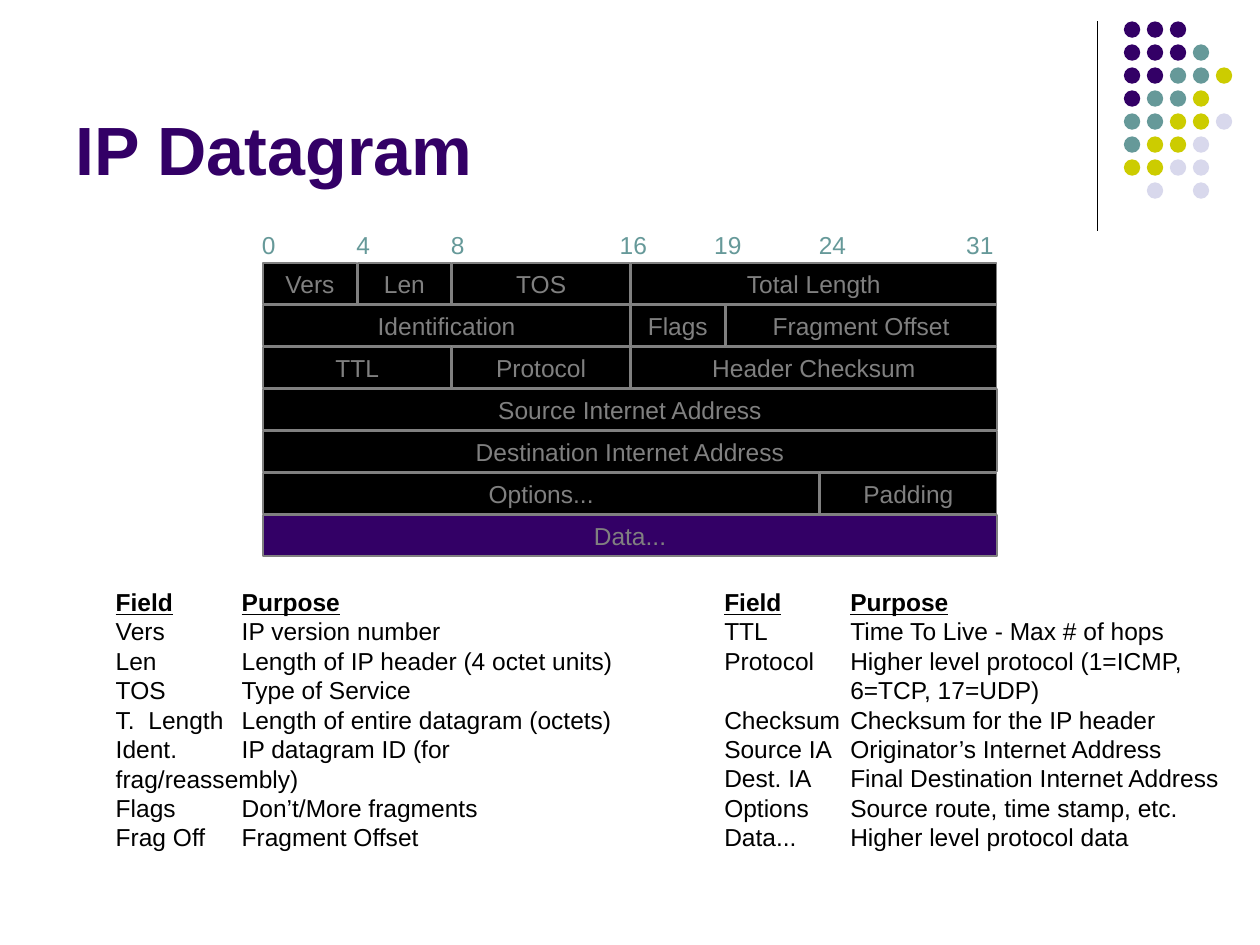
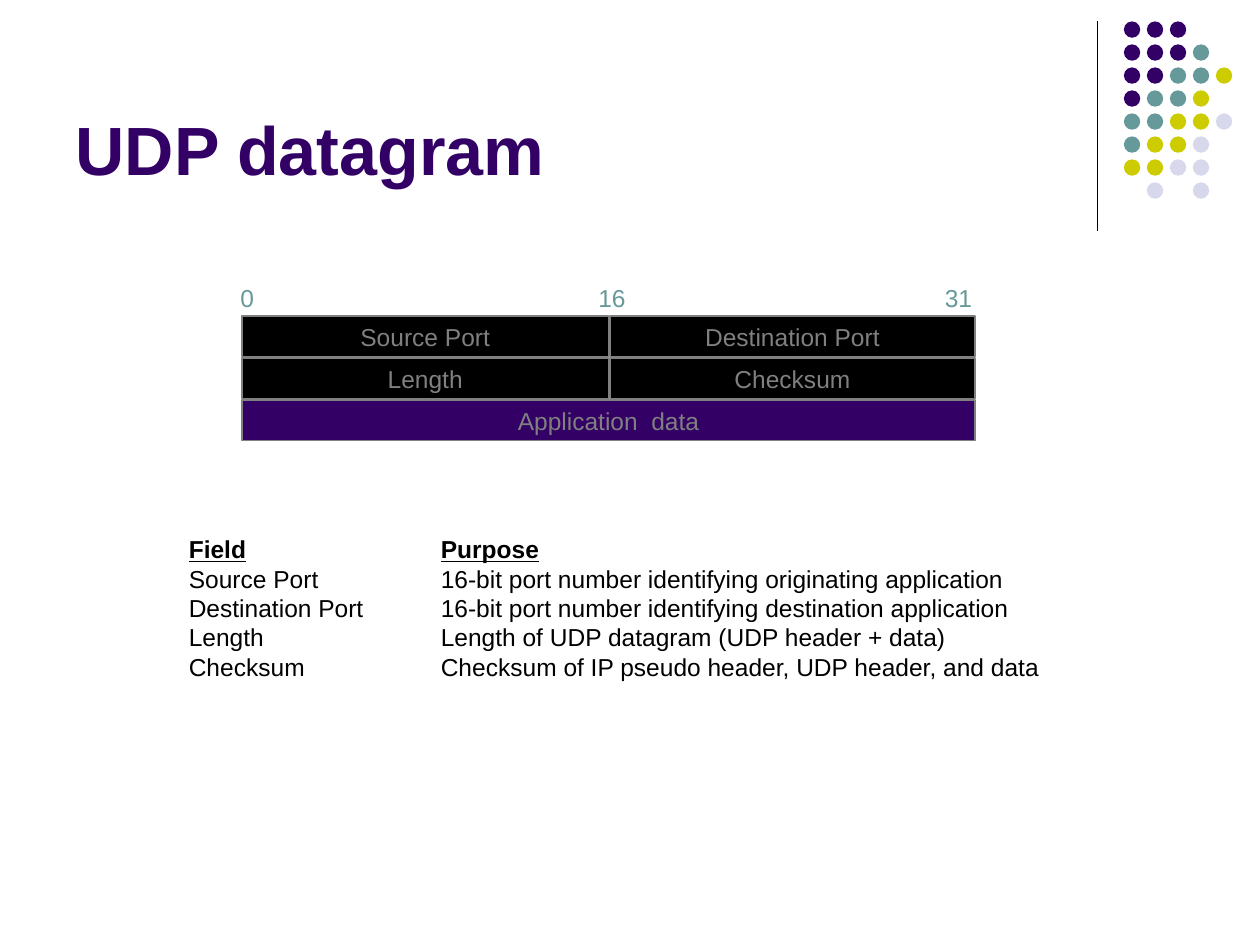
"""Build two slides that explain the IP and UDP datagram layouts."""
from dataclasses import dataclass

from lxml import etree
from pptx import Presentation
from pptx import util as u
from pptx.dml.color import RGBColor
from pptx.enum import shapes, text
from pptx.oxml import ns

PURPLE = RGBColor(0x33, 0x00, 0x66)
TEAL = RGBColor(0x66, 0x99, 0x99)
OLIVE = RGBColor(0xCC, 0xCC, 0x00)
LAVENDER = RGBColor(0xD8, 0xD8, 0xEC)
GREY = RGBColor(0x80, 0x80, 0x80)
BLACK = RGBColor(0x00, 0x00, 0x00)

FONT = "Arial"
TITLE_SIZE = 39
BODY_SIZE = 14

DOT_ROWS = ("PPP", "PPPT", "PPTTO", "PTTO", "TTOOL", "TOOL", "OOLL", ".L.L")
DOT_COLORS = {"P": PURPLE, "T": TEAL, "O": OLIVE, "L": LAVENDER}
DOT_SIZE = u.Inches(0.13)
DOT_PITCH = u.Inches(0.73) // 4

BIT_EDGES = {0: 0, 4: 0.75, 8: 1.5, 16: 2.92, 19: 3.67, 24: 4.42, 32: 5.83}
BIT_LABELS = {0: -0.11, 4: 0.64, 8: 1.39, 16: 2.73, 19: 3.48, 24: 4.31, 31: 5.48}
WORD_BITS = 32
ROW_PITCH = u.Inches(1) // 3
ROW_HEIGHT = u.Inches(0.32)
FIELD_GAP = 0.01


@dataclass(frozen=True)
class Diagram:
    """Header rows, each mapping a first bit to a field; the last row is payload."""
    left: float
    top: float
    bits: tuple[int, ...]
    rows: tuple[dict[int, str], ...]


@dataclass(frozen=True)
class Glossary:
    """Field and purpose lines aligned on one tab stop."""
    left: float
    top: float
    width: float
    height: float
    tab: float
    tabs_in_header: str
    lines: tuple[str, ...]


@dataclass(frozen=True)
class DatagramSlide:
    """Content of one slide."""
    title: str
    diagram: Diagram
    glossaries: tuple[Glossary, ...]


IP_SLIDE = DatagramSlide(
    "IP Datagram",
    Diagram(2.09, 2.09, (0, 4, 8, 16, 19, 24, 31), (
        {0: "Vers", 4: "Len", 8: "TOS", 16: "Total Length"},
        {0: "Identification", 16: "Flags", 19: "Fragment Offset"},
        {0: "TTL", 8: "Protocol", 16: "Header Checksum"},
        {0: "Source Internet Address"},
        {0: "Destination Internet Address"},
        {0: "Options...", 24: "Padding"},
        {0: "Data..."},
    )),
    (
        Glossary(0.82, 4.61, 4.25, 2.19, 1, "\t", (
            "Vers\tIP version number",
            "Len\tLength of IP header (4 octet units)",
            "TOS\tType of Service",
            "T.  Length\tLength of entire datagram (octets)",
            "Ident.\tIP datagram ID (for frag/reassembly)",
            "Flags\tDon’t/More fragments",
            "Frag Off\tFragment Offset",
        )),
        Glossary(5.65, 4.61, 4.2, 2.43, 1, "\t", (
            "TTL\tTime To Live - Max # of hops",
            "Protocol\tHigher level protocol (1=ICMP,",
            "\t6=TCP, 17=UDP)",
            "Checksum\tChecksum for the IP header",
            "Source IA\tOriginator’s Internet Address",
            "Dest. IA\tFinal Destination Internet Address",
            "Options\tSource route, time stamp, etc.",
            "Data...\tHigher level protocol data",
        )),
    ),
)

UDP_SLIDE = DatagramSlide(
    "UDP datagram",
    Diagram(1.92, 2.51, (0, 16, 31), (
        {0: "Source Port", 16: "Destination Port"},
        {0: "Length", 16: "Checksum"},
        {0: "Application  data"},
    )),
    (
        Glossary(1.4, 4.19, 7.05, 1.26, 2, "\t", (
            "Source Port\t16-bit port number identifying originating application",
            "Destination Port\t16-bit port number identifying destination application",
            "Length\tLength of UDP datagram (UDP header + data)",
            "Checksum\tChecksum of IP pseudo header, UDP header, and data",
        )),
    ),
)


def write(paragraph, content: str, *, size: float = BODY_SIZE, color: RGBColor = BLACK,
          bold: bool = False, underline: bool = False,
          align=text.PP_ALIGN.LEFT) -> None:
    """Add formatted text to a paragraph."""
    paragraph.alignment = align
    run = paragraph.add_run()
    run.text = content
    run.font.name = FONT
    run.font.size = u.Pt(size)
    run.font.color.rgb = color
    run.font.bold = bold
    run.font.underline = underline


def add_filled(container, kind, left: int, top: int, width: int, height: int,
               fill: RGBColor, line: RGBColor | None = None):
    """Add a flat preset shape with an optional thin outline."""
    shape = container.add_shape(kind, left, top, width, height)
    shape.shadow.inherit = False
    shape.fill.solid()
    shape.fill.fore_color.rgb = fill
    if line is None:
        shape.line.fill.background()
    else:
        shape.line.color.rgb = line
        shape.line.width = u.Pt(1)
    return shape


def add_decoration(slide) -> None:
    """Draw the corner rule and the dot pattern."""
    rule = slide.shapes.add_connector(
        shapes.MSO_CONNECTOR.STRAIGHT,
        u.Inches(8.71), u.Inches(0.17), u.Inches(8.71), u.Inches(1.83))
    rule.line.color.rgb = BLACK
    rule.line.width = u.Pt(0.75)
    etree.SubElement(rule.element.spPr, ns.qn("a:effectLst"))
    dots = slide.shapes.add_group_shape().shapes
    for row, pattern in enumerate(DOT_ROWS):
        for column, key in enumerate(pattern):
            if key in DOT_COLORS:
                add_filled(dots, shapes.MSO_SHAPE.OVAL,
                           u.Inches(8.92) + column * DOT_PITCH,
                           u.Inches(0.17) + row * DOT_PITCH,
                           DOT_SIZE, DOT_SIZE, DOT_COLORS[key])


def add_title(slide, content: str) -> None:
    """Place and format the title placeholder."""
    title = slide.shapes.title
    title.left, title.top = u.Inches(0.5), u.Inches(0.13)
    title.width, title.height = u.Inches(8.25), u.Inches(1.42)
    frame = title.text_frame
    frame.auto_size = text.MSO_AUTO_SIZE.NONE
    frame.vertical_anchor = text.MSO_ANCHOR.BOTTOM
    write(frame.paragraphs[0], content, size=TITLE_SIZE, color=PURPLE, bold=True)


def add_diagram(slide, diagram: Diagram) -> None:
    """Draw the bit scale and the header fields below it."""
    for bit in diagram.bits:
        label = slide.shapes.add_textbox(
            u.Inches(diagram.left + BIT_LABELS[bit]), u.Inches(diagram.top - 0.31),
            u.Inches(0.2 + 0.11 * len(str(bit))), u.Inches(0.33))
        label.text_frame.word_wrap = False
        write(label.text_frame.paragraphs[0], str(bit), color=TEAL)
    for index, row in enumerate(diagram.rows):
        fill = PURPLE if row is diagram.rows[-1] else BLACK
        starts = list(row)
        for start, end in zip(starts, starts[1:] + [WORD_BITS]):
            width = BIT_EDGES[end] - BIT_EDGES[start] - FIELD_GAP
            field = add_filled(
                slide.shapes, shapes.MSO_SHAPE.RECTANGLE,
                u.Inches(diagram.left + BIT_EDGES[start]),
                u.Inches(diagram.top) + index * ROW_PITCH,
                u.Inches(width), ROW_HEIGHT, fill, GREY)
            frame = field.text_frame
            frame.word_wrap = False
            frame.vertical_anchor = text.MSO_ANCHOR.MIDDLE
            write(frame.paragraphs[0], row[start], color=GREY,
                  align=text.PP_ALIGN.CENTER)


def add_glossary(slide, glossary: Glossary) -> None:
    """Add the list of fields and their purposes."""
    box = slide.shapes.add_textbox(
        u.Inches(glossary.left), u.Inches(glossary.top),
        u.Inches(glossary.width), u.Inches(glossary.height))
    frame = box.text_frame
    frame.word_wrap = True
    header = f"Field{glossary.tabs_in_header}Purpose"
    for index, line in enumerate((header, *glossary.lines)):
        paragraph = frame.add_paragraph() if index else frame.paragraphs[0]
        write(paragraph, line, bold=index == 0, underline=index == 0)
        tabs = etree.SubElement(paragraph._p.get_or_add_pPr(), ns.qn("a:tabLst"))
        etree.SubElement(tabs, ns.qn("a:tab"),
                         pos=str(u.Inches(glossary.tab)), algn="l")


def add_datagram_slide(presentation, content: DatagramSlide) -> None:
    """Build one complete slide."""
    slide = presentation.slides.add_slide(presentation.slide_layouts[5])
    add_decoration(slide)
    add_title(slide, content.title)
    add_diagram(slide, content.diagram)
    for glossary in content.glossaries:
        add_glossary(slide, glossary)


def main() -> None:
    """Create and save the presentation."""
    presentation = Presentation()
    presentation.slide_width = u.Inches(10)
    presentation.slide_height = u.Inches(7.5)
    for content in (IP_SLIDE, UDP_SLIDE):
        add_datagram_slide(presentation, content)
    presentation.save("out.pptx")


if __name__ == "__main__":
    main()
